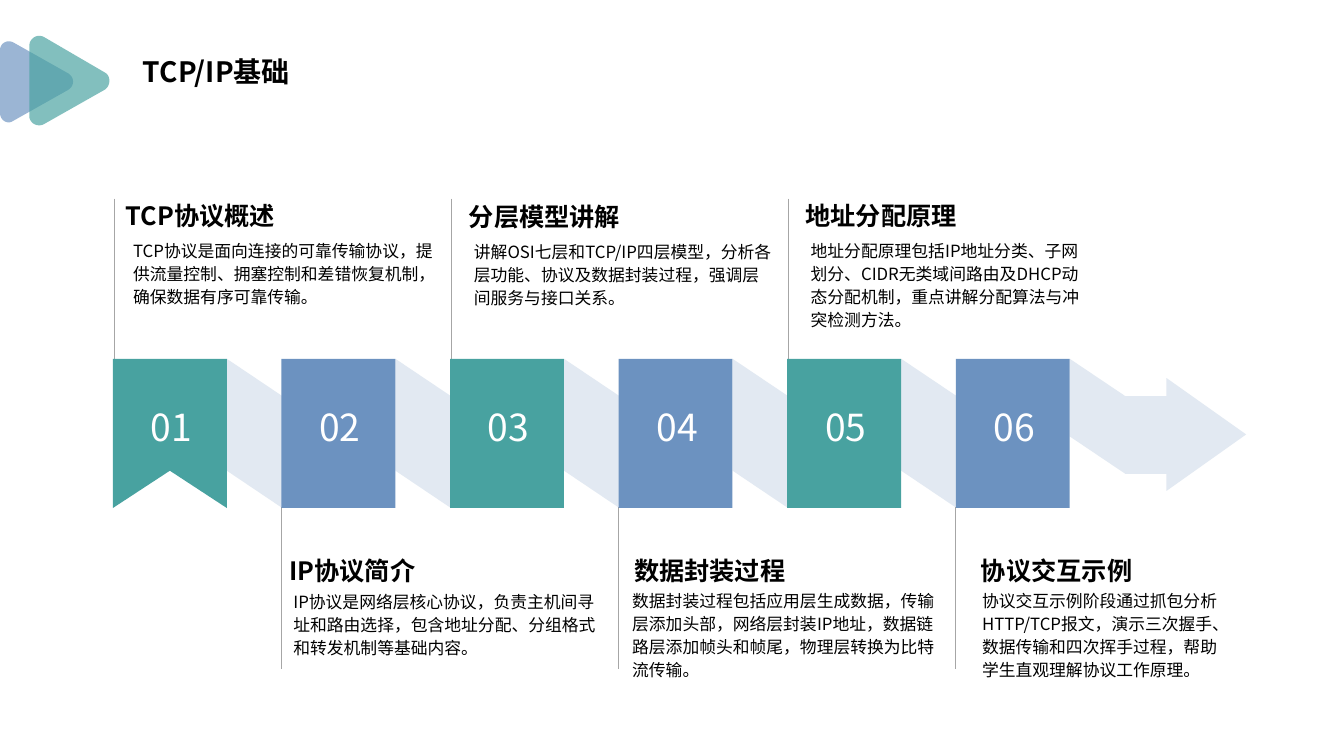
from lxml import etree
from pptx import Presentation
from pptx.dml.color import RGBColor
from pptx.enum import shapes, text
from pptx.oxml import ns
from pptx.util import Inches, Pt

FONT = "Noto Sans CJK SC"
COLORS = {"teal": "48A2A0", "blue": "6C92C0", "pale": "E2E9F2",
          "rule": "A6A6A6", "black": "000000", "white": "FFFFFF"}

deck = Presentation()
deck.slide_width, deck.slide_height = Inches(13.33), Inches(7.5)
page = deck.slides.add_slide(deck.slide_layouts[6])


def add_text(words, left, top, width, height, size=12, color="black", bold=False,
             align=None, anchor=text.MSO_ANCHOR.TOP, spacing=None, insets=(0.1, 0.05)):
    box = page.shapes.add_textbox(Inches(left), Inches(top), Inches(width), Inches(height))
    frame = box.text_frame
    frame.word_wrap = True
    frame.vertical_anchor = anchor
    frame.margin_left = frame.margin_right = Inches(insets[0])
    frame.margin_top = frame.margin_bottom = Inches(insets[1])
    para = frame.paragraphs[0]
    para.alignment, para.line_spacing = align, spacing
    span = para.add_run()
    span.text = words
    span.font.size, span.font.bold, span.font.name = Pt(size), bold, FONT
    span.font.color.rgb = RGBColor.from_string(COLORS[color])
    etree.SubElement(span.font._element, ns.qn("a:ea"), typeface=FONT)


def add_outline(points, color, opacity=100):
    corners = [(Inches(x), Inches(y)) for x, y in points]
    builder = page.shapes.build_freeform(*corners[0], scale=1.0)
    builder.add_line_segments(corners[1:], close=True)
    outline = builder.convert_to_shape()
    outline.shadow.inherit = False
    outline.line.fill.background()
    outline.fill.solid()
    outline.fill.fore_color.rgb = RGBColor.from_string(COLORS[color])
    if opacity < 100:
        tint = outline._element.spPr.find(".//" + ns.qn("a:srgbClr"))
        etree.SubElement(tint, ns.qn("a:alpha"), val=str(opacity * 1000))


# Title
add_text("TCP/IP基础", 1.32, 0.49, 1.7, 0.44, size=20, bold=True)

# Overlapping rounded triangles: each corner is a cubic curve
triangles = [
    ("blue", [((0.13, 0.42), (0.07, 0.39), (0, 0.43), (0, 0.5)),
              ((0, 1.12), (0, 1.19), (0.07, 1.24), (0.13, 1.2)),
              ((0.68, 0.89), (0.74, 0.85), (0.74, 0.77), (0.68, 0.73))]),
    ("teal", [((0.44, 0.37), (0.37, 0.33), (0.29, 0.38), (0.29, 0.46)),
              ((0.29, 1.15), (0.29, 1.22), (0.37, 1.27), (0.44, 1.23)),
              ((1.04, 0.89), (1.1, 0.85), (1.1, 0.75), (1.04, 0.72))]),
]
STEPS = 12
for color, curves in triangles:
    points = []
    for curve in curves:
        for step in range(STEPS + 1):
            t = step / STEPS
            weights = ((1 - t) ** 3, 3 * t * (1 - t) ** 2, 3 * t ** 2 * (1 - t), t ** 3)
            points.append([sum(w * p[axis] for w, p in zip(weights, curve)) for axis in (0, 1)])
    add_outline(points, color, opacity=68)

# Steps: heading, heading left and top, body, body left, top and width
steps = [
    ("TCP协议概述", 1.12, 1.86,
     "TCP协议是面向连接的可靠传输协议，提供流量控制、拥塞控制和差错恢复机制，确保数据有序可靠传输。",
     1.32, 2.36, 3.02),
    ("IP协议简介", 2.74, 5.38,
     "IP协议是网络层核心协议，负责主机间寻址和路由选择，包含地址分配、分组格式和转发机制等基础内容。",
     2.91, 5.84, 3.1),
    ("分层模型讲解", 4.52, 1.87,
     "讲解OSI七层和TCP/IP四层模型，分析各层功能、协议及数据封装过程，强调层间服务与接口关系。",
     4.7, 2.37, 2.98),
    ("数据封装过程", 6.16, 5.38,
     "数据封装过程包括应用层生成数据，传输层添加头部，网络层封装IP地址，数据链路层添加帧头和帧尾，物理层转换为比特流传输。",
     6.27, 5.83, 3.1),
    ("地址分配原理", 7.86, 1.86,
     "地址分配原理包括IP地址分类、子网划分、CIDR无类域间路由及DHCP动态分配机制，重点讲解分配算法与冲突检测方法。",
     8.04, 2.36, 2.72),
    ("协议交互示例", 9.6, 5.38,
     "协议交互示例阶段通过抓包分析HTTP/TCP报文，演示三次握手、数据传输和四次挥手过程，帮助学生直观理解协议工作原理。",
     9.74, 5.83, 2.42),
]
FIRST, LAST_LEFT = 1.12, 9.48
PITCH = (LAST_LEFT - FIRST) / (len(steps) - 1)
TOP, BOTTOM, WIDTH, FOLD = 3.56, 5.04, 1.13, 0.37

for index, (heading, head_left, head_top, body, left, top, width) in enumerate(steps):
    x = FIRST + index * PITCH
    right = x + WIDTH
    above = index % 2 == 0
    color = "teal" if above else "blue"

    # Guide line from the block to its text
    rule_x = x + 0.01 if above else x
    rule_top, rule_bottom = (1.97, 3.57) if above else (5.03, 6.64)
    rule = page.shapes.add_connector(shapes.MSO_CONNECTOR.STRAIGHT, Inches(rule_x),
                                     Inches(rule_top), Inches(rule_x), Inches(rule_bottom))
    rule.line.color.rgb = RGBColor.from_string(COLORS["rule"])
    rule.line.width = Pt(0.5)
    etree.SubElement(rule._element.spPr, ns.qn("a:effectLst"))

    # Folded ribbon leading to the next block or the arrow
    is_last = index == len(steps) - 1
    ribbon_bottom = 4.7 if is_last else BOTTOM
    add_outline([(right, TOP), (right + 0.55, TOP + FOLD), (right + 0.55, ribbon_bottom),
                 (right, ribbon_bottom - FOLD)], "pale")

    # Numbered block, the first one notched
    if index == 0:
        add_outline([(x, TOP), (right, TOP), (right, BOTTOM),
                     (x + WIDTH / 2, BOTTOM - FOLD), (x, BOTTOM)], color)
    else:
        block = page.shapes.add_shape(shapes.MSO_SHAPE.RECTANGLE, Inches(x), Inches(TOP),
                                      Inches(WIDTH), Inches(BOTTOM - TOP))
        block.shadow.inherit = False
        block.line.fill.background()
        block.fill.solid()
        block.fill.fore_color.rgb = RGBColor.from_string(COLORS[color])
    add_text(f"{index + 1:02}", x - 0.12, 3.74, 1.4, 0.99, size=26.6, color="white",
             align=text.PP_ALIGN.CENTER, anchor=text.MSO_ANCHOR.MIDDLE)

    # Heading and description
    add_text(heading, head_left, head_top, 2.56, 1.36, size=18, bold=True,
             align=text.PP_ALIGN.JUSTIFY, spacing=1.2, insets=(0.13, 0.07))
    add_text(body, left, top, width, 1.09, spacing=1.14, insets=(0, 0))

# Closing arrow
add_outline([(11.16, 3.93), (11.57, 3.93), (11.57, 3.75), (12.36, 4.31),
             (11.57, 4.87), (11.57, 4.7), (11.16, 4.7)], "pale")

deck.save("out.pptx")
